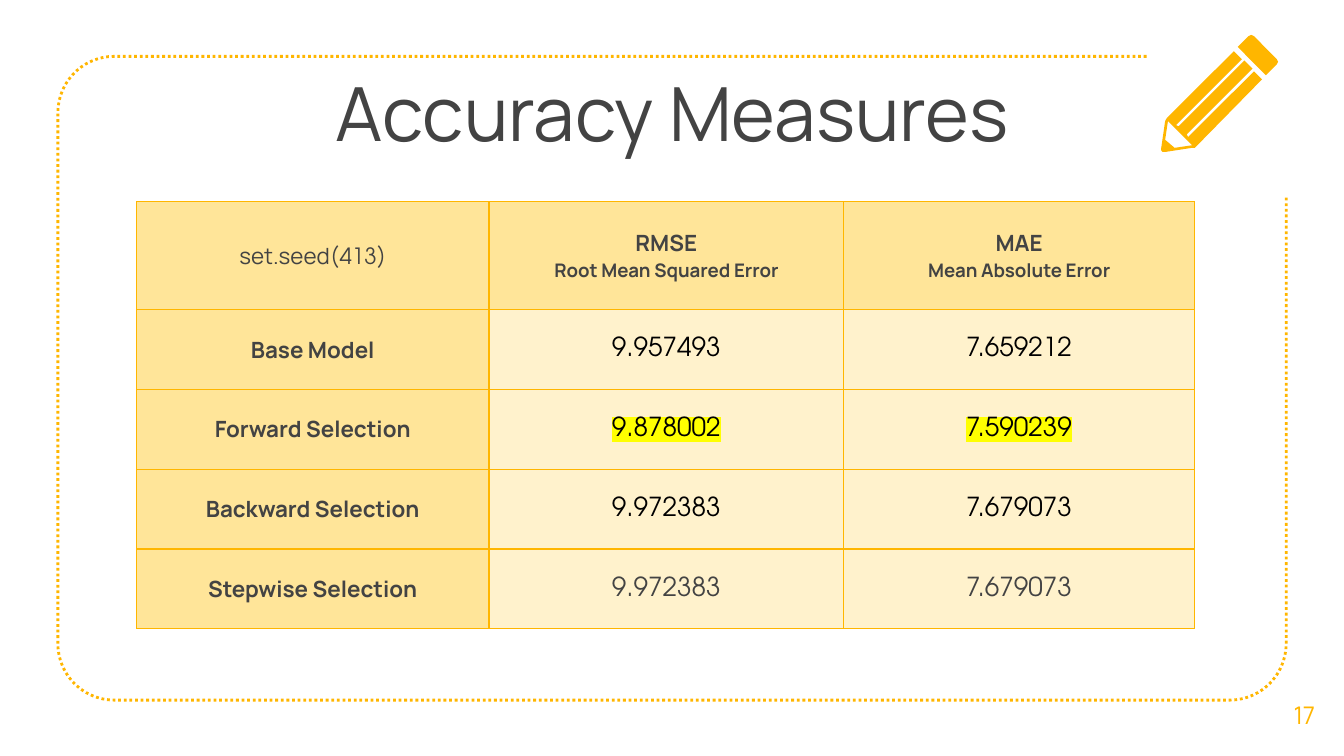
"""Build the accuracy measures slide: dotted frame, pencil and a table of model errors."""
import math

import lxml.etree
import pptx
import pptx.dml.color
import pptx.enum.dml
import pptx.enum.text
import pptx.oxml.ns
import pptx.util

Pt = pptx.util.Pt
RGB = pptx.dml.color.RGBColor.from_string
qn = pptx.oxml.ns.qn
CENTER = pptx.enum.text.PP_ALIGN.CENTER
MIDDLE = pptx.enum.text.MSO_ANCHOR.MIDDLE
COLORS = {"amber": "FFB600", "gray": "434343", "black": "000000",
          "label": "FFE599", "value": "FFF2CC", "highlight": "FFFF00"}
SANS, GEOMETRIC = "Manrope", "TeX Gyre Adventor"


def style(font, size, name, color, bold=False):
    """Set size, typeface, colour and weight of a font."""
    font.size, font.name, font.bold = Pt(size), name, bold
    font.color.rgb = RGB(COLORS[color])


def outline(shapes, contours, close=True):
    """Draw one freeform from contours given in points."""
    contours = [[(Pt(x), Pt(y)) for x, y in contour] for contour in contours]
    builder = shapes.build_freeform(*contours[0][0], scale=1.0)
    builder.add_line_segments(contours[0][1:], close=close)
    for contour in contours[1:]:
        builder.move_to(*contour[0])
        builder.add_line_segments(contour[1:], close=close)
    shape = builder.convert_to_shape()
    shape.shadow.inherit = False
    return shape


deck = pptx.Presentation()
deck.slide_width, deck.slide_height = Pt(720), Pt(405)
slide = deck.slides.add_slide(deck.slide_layouts[5])

left, top, right, bottom, radius = 31, 30.2, 689, 375.1, 30.2
frame_points = [(614.2, top)]
for center_x, center_y, start in [(left + radius, top + radius, 270),
                                  (left + radius, bottom - radius, 180),
                                  (right - radius, bottom - radius, 90)]:
    for step in range(16):
        angle = math.radians(start - 6 * step)
        frame_points.append((center_x + radius * math.cos(angle),
                             center_y + radius * math.sin(angle)))
frame_points.append((right, 105.1))
frame = outline(slide.shapes, [frame_points], close=False)
frame.fill.background()
frame.line.color.rgb = RGB(COLORS["amber"])
frame.line.width = Pt(1.5)
frame.line.dash_style = pptx.enum.dml.MSO_LINE.ROUND_DOT

heading = slide.shapes.title
heading.left, heading.top, heading.width, heading.height = Pt(31.7), Pt(28.8), Pt(656.6), Pt(67.7)
page_number = slide.shapes.add_textbox(Pt(677.5), Pt(361.4), Pt(42.5), Pt(43.2))
for box, words, size, color, anchor in [
        (heading, "Accuracy Measures", 40, "gray", pptx.enum.text.MSO_ANCHOR.TOP),
        (page_number, "17", 13, "amber", MIDDLE)]:
    text = box.text_frame
    text.text = words
    text.word_wrap = True
    text.auto_size = pptx.enum.text.MSO_AUTO_SIZE.NONE
    text.vertical_anchor = anchor
    text.margin_left = text.margin_right = text.margin_top = text.margin_bottom = Pt(7.2)
    text.paragraphs[0].alignment = CENTER
    style(text.paragraphs[0].font, size, SANS, color)

eraser = [(670.3, 18.7), (668.9, 19.4), (663.1, 25.2), (678.2, 40.3), (684, 34.6),
          (684.7, 33.1), (684, 31.7), (671.8, 19.4)]
bare_wood = [(625.7, 64.8), (638.6, 77.8), (629.3, 79.2), (624.2, 74.9)]
barrel = [(661, 27.4), (625, 63.4), (624.2, 64.8), (622.1, 79.2), (622.1, 80.6),
          (622.8, 81.4), (624.2, 81.4), (638.6, 79.2), (640.1, 79.2), (676.1, 42.5),
          (671.8, 38.2), (636.5, 73.4), (635.8, 72), (671, 36.7), (666.7, 32.4),
          (631.4, 67.7), (630, 67), (665.3, 31.7)]
pencil = slide.shapes.add_group_shape()
for contours in ([eraser], [bare_wood, barrel]):
    part = outline(pencil.shapes, contours)
    part.fill.solid()
    part.fill.fore_color.rgb = RGB(COLORS["amber"])
    part.line.fill.background()

rows = [
    ("set.seed(413)", "RMSE\nRoot Mean Squared Error", "MAE\nMean Absolute Error"),
    ("Base Model", "9.957493", "7.659212"),
    ("Forward Selection", "9.878002", "7.590239"),
    ("Backward Selection", "9.972383", "7.679073"),
    ("Stepwise Selection", "9.972383", "7.679073"),
]
widths, heights = [188.8, 190, 188], [57.8] + [42.8] * 4
measures = slide.shapes.add_table(len(rows), len(widths), Pt(73.2), Pt(108),
                                  Pt(sum(widths)), Pt(sum(heights))).table
measures.first_row = measures.horz_banding = False
for column, width in zip(measures.columns, widths):
    column.width = Pt(width)
for row, height in zip(measures.rows, heights):
    row.height = Pt(height)

for r, row in enumerate(rows):
    for c, words in enumerate(row):
        is_label = r == 0 or c == 0
        cell = measures.cell(r, c)
        cell.text = words
        cell.vertical_anchor = MIDDLE
        cell.margin_left = cell.margin_right = Pt(7.2)
        cell.margin_top = cell.margin_bottom = Pt(5 if is_label else 7.2)
        properties = cell._tc.get_or_add_tcPr()
        for side in ("a:lnL", "a:lnR", "a:lnT", "a:lnB"):
            border = lxml.etree.SubElement(properties, qn(side), w=str(Pt(0.75)))
            paint = lxml.etree.SubElement(border, qn("a:solidFill"))
            lxml.etree.SubElement(paint, qn("a:srgbClr"), val=COLORS["amber"])
        cell.fill.solid()
        cell.fill.fore_color.rgb = RGB(COLORS["label" if is_label else "value"])
        for p, paragraph in enumerate(cell.text_frame.paragraphs):
            paragraph.alignment = CENTER
            if is_label:
                style(paragraph.font, 10 if p else 12, SANS, "gray", bold=r + c > 0)
            else:
                style(paragraph.font, 14, GEOMETRIC, "gray" if r == 4 else "black")
            if r == 2 and c > 0:
                run_properties = paragraph.runs[0]._r.get_or_add_rPr()
                marker = lxml.etree.SubElement(run_properties, qn("a:highlight"))
                lxml.etree.SubElement(marker, qn("a:srgbClr"), val=COLORS["highlight"])

seed = measures.cell(0, 0).text_frame.paragraphs[0]
seed.clear()
for words, name in [("set.seed(", SANS), ("413", GEOMETRIC), (")", SANS)]:
    run = seed.add_run()
    run.text = words
    style(run.font, 12, name, "gray")

deck.save("out.pptx")
